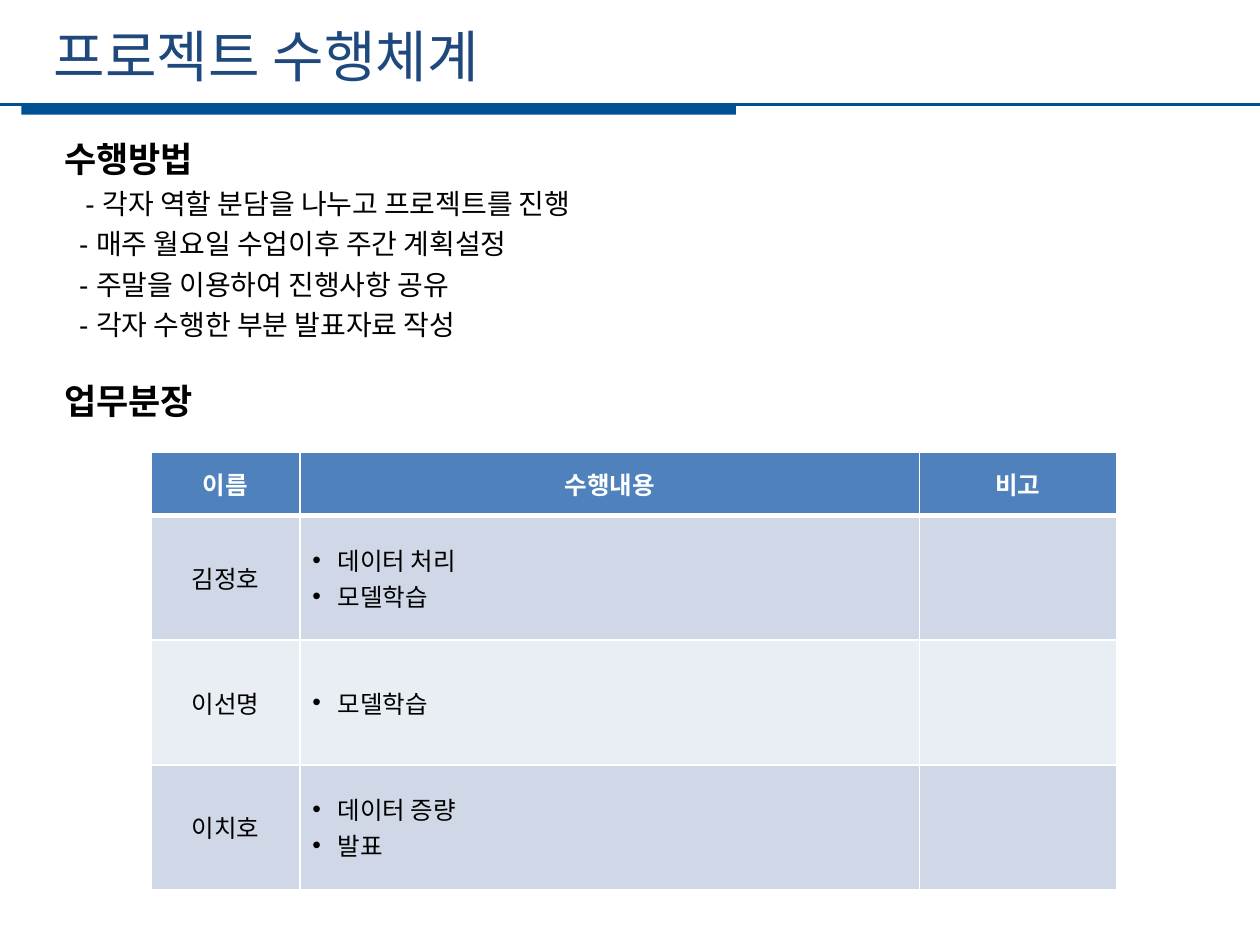
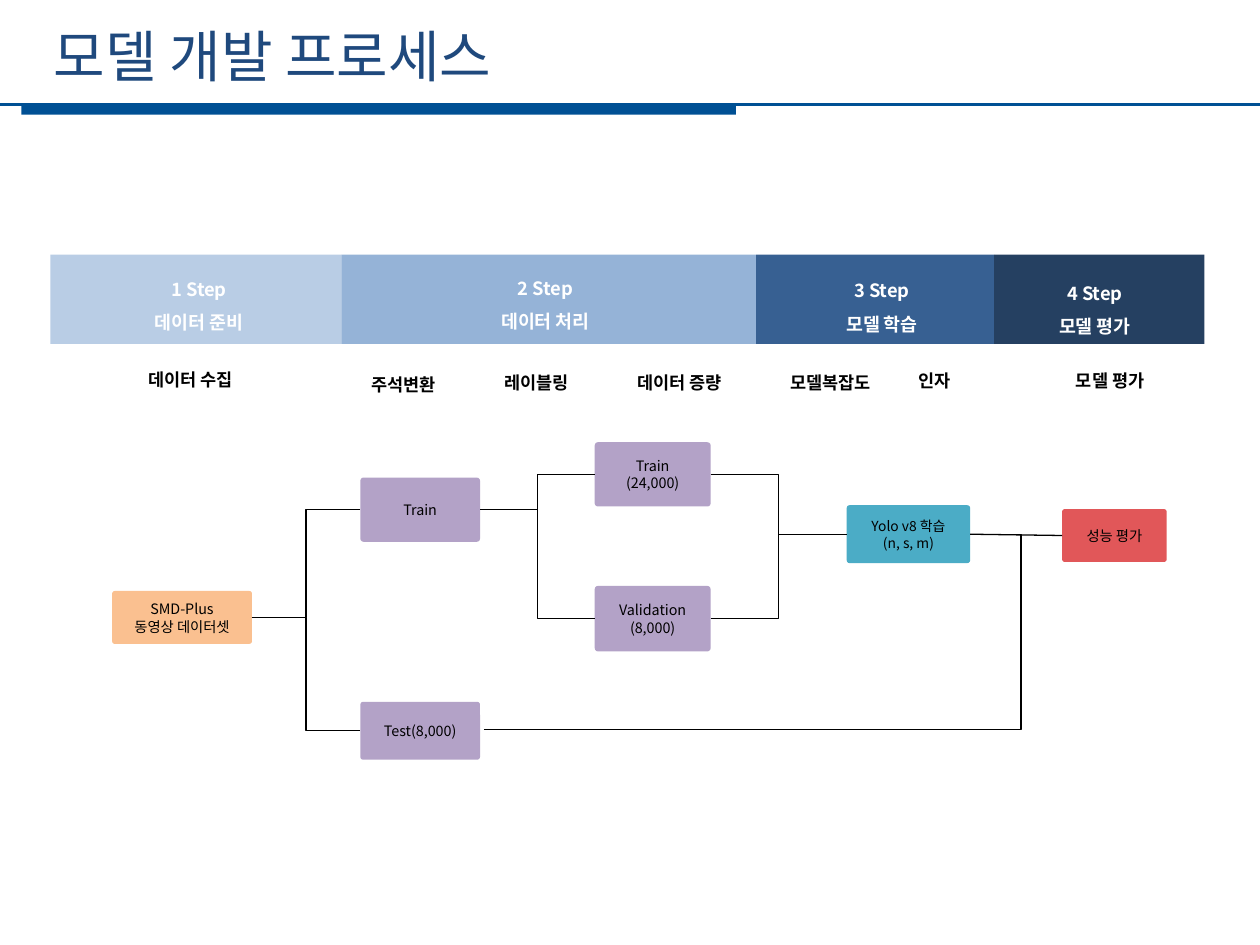
from lxml import etree
from pptx import Presentation, util as u
from pptx.dml.color import RGBColor
from pptx.enum import shapes, text
from pptx.oxml.ns import qn

COLORS = {
    "title": "1F497D", "band": "005094", "black": "000000", "white": "FFFFFF",
    "head": "4F81BD", "odd": "D0D8E8", "even": "E9EDF4",
    "step1": "B9CDE5", "step2": "95B3D7", "step3": "376092", "step4": "254061",
    "source": "FAC090", "data": "B3A2C7", "model": "4BACC6", "score": "E15759",
}
SANS, ARIAL = "Noto Sans CJK KR", "Arial"
COLS, ROWS = 100, 75  # grid of the slide
LEFT, CENTER = text.PP_ALIGN.LEFT, text.PP_ALIGN.CENTER
TOP, MIDDLE = text.MSO_ANCHOR.TOP, text.MSO_ANCHOR.MIDDLE


def rgb(name):
    return RGBColor.from_string(COLORS[name])


class Deck:
    """Holds the shared style and the current slide; lengths are grid columns and rows."""

    def __init__(self):
        self.prs = Presentation()
        self.prs.slide_width, self.prs.slide_height = u.Inches(10), u.Inches(7.5)
        self.s = None

    def x(self, cols):
        return round(self.prs.slide_width * cols / COLS)

    def y(self, rows):
        return round(self.prs.slide_height * rows / ROWS)

    def box(self, left, top, width, height):
        return self.x(left), self.y(top), self.x(width), self.y(height)

    def slide(self, title):
        self.s = self.prs.slides.add_slide(self.prs.slide_layouts[6])
        self.shape((1.7, 8.3, 56.7, 0.8), "band")
        self.line((0, 8.3), (COLS, 8.3), "band", 1.25)
        self.text((3.3, 1.2, 89.6, 6.4), [title], 32, "title", align=LEFT, anchor=MIDDLE)

    def run(self, p, words, size, color="black", bold=False, font=SANS):
        r = p.add_run()
        r.text = words
        r.font.size, r.font.bold, r.font.name = u.Pt(size), bold, font
        r.font.color.rgb = rgb(color)
        etree.SubElement(r.font._element, qn("a:ea"), typeface=SANS)

    def paragraph(self, tf, first, align=LEFT, spacing=None):
        p = tf.paragraphs[0] if first else tf.add_paragraph()
        p.alignment = align
        if spacing:
            p.line_spacing = u.Pt(spacing)
        return p

    def fill_text(self, tf, lines, size, color="black", bold=False, align=CENTER, spacing=None):
        for i, words in enumerate(lines):
            self.run(self.paragraph(tf, i == 0, align, spacing), words, size, color, bold)

    def frame(self, box, anchor=TOP, wrap=True):
        tf = self.s.shapes.add_textbox(*self.box(*box)).text_frame
        tf.word_wrap, tf.vertical_anchor = wrap, anchor
        return tf

    def text(self, box, lines, size, color="black", bold=False, align=CENTER,
             spacing=None, anchor=TOP, wrap=True):
        self.fill_text(self.frame(box, anchor, wrap), lines, size, color, bold, align, spacing)

    def shape(self, box, fill, kind=shapes.MSO_SHAPE.RECTANGLE):
        sp = self.s.shapes.add_shape(kind, *self.box(*box))
        sp.shadow.inherit = False
        sp.fill.solid()
        sp.fill.fore_color.rgb = rgb(fill)
        sp.line.fill.background()
        return sp

    def node(self, box, fill, lines, size=8.2):
        sp = self.shape(box, fill, shapes.MSO_SHAPE.ROUNDED_RECTANGLE)
        sp.adjustments[0] = 0.05
        tf = sp.text_frame
        tf.margin_left = tf.margin_right = tf.margin_top = tf.margin_bottom = 0
        tf.word_wrap, tf.vertical_anchor = True, MIDDLE
        self.fill_text(tf, lines, size, spacing=10)
        return sp

    def line(self, start, end, color="black", width=0.75, kind=shapes.MSO_CONNECTOR.STRAIGHT):
        c = self.s.shapes.add_connector(kind, self.x(start[0]), self.y(start[1]),
                                        self.x(end[0]), self.y(end[1]))
        c.line.color.rgb, c.line.width = rgb(color), u.Pt(width)
        etree.SubElement(c._element.spPr, qn("a:effectLst"))
        return c

    def elbow(self, start, end, bend):
        c = self.line(start, end, kind=shapes.MSO_CONNECTOR.ELBOW)
        guides = c._element.spPr.find(qn("a:prstGeom")).get_or_add_avLst()
        etree.SubElement(guides, qn("a:gd"), name="adj1", fmla=f"val {round(bend * 100000)}")

    def join(self, a, b, kind=shapes.MSO_CONNECTOR.ELBOW):
        """Connect the right side of a with the left side of b."""
        c = self.line((0, 0), (1, 1), kind=kind)
        c.begin_connect(a, 3)
        c.end_connect(b, 1)

    def table(self, box, widths, heights):
        t = self.s.shapes.add_table(len(heights), len(widths), *self.box(*box)).table
        for col, w in zip(t.columns, widths):
            col.width = self.x(w)
        for row, h in zip(t.rows, heights):
            row.height = self.y(h)
        return t

    def cell(self, c, lines, fill, color="black", bold=False, bullets=False, bottom=1):
        c.fill.solid()
        c.fill.fore_color.rgb = rgb(fill)
        c.vertical_anchor = MIDDLE
        for i, (side, width) in enumerate(zip("LRTB", (1, 1, 1, bottom))):
            ln = etree.Element(qn(f"a:ln{side}"), w=str(u.Pt(width)))
            solid = etree.SubElement(ln, qn("a:solidFill"))
            etree.SubElement(solid, qn("a:srgbClr"), val=COLORS["white"])
            c._tc.tcPr.insert(i, ln)
        for i, words in enumerate(lines):
            p = self.paragraph(c.text_frame, i == 0, LEFT if bullets else CENTER)
            if bullets:
                pPr = p._p.get_or_add_pPr()
                pPr.set("marL", str(self.x(2)))
                pPr.set("indent", str(-self.x(2)))
                etree.SubElement(pPr, qn("a:buFont"), typeface=ARIAL)
                etree.SubElement(pPr, qn("a:buChar"), char="•")
            self.run(p, words, 14, color, bold)


def organization(d):
    d.slide("프로젝트 수행체계")

    # Method list and heading of the table
    body = [  # words, indent in columns, is heading
        ("수행방법", 0, True),
        ("- 각자 역할 분담을 나누고 프로젝트를 진행", 1.7, False),
        ("- 매주 월요일 수업이후 주간 계획설정", 1.2, False),
        ("- 주말을 이용하여 진행사항 공유", 1.2, False),
        ("- 각자 수행한 부분 발표자료 작성", 1.2, False),
        ("업무분장", 0, True),
    ]
    tf = d.frame((4.1, 10.6, 91.2, 23.3))
    for i, (words, indent, heading) in enumerate(body):
        p = d.paragraph(tf, i == 0, spacing=23)
        p._p.get_or_add_pPr().set("marL", str(d.x(indent)))
        if heading and i:
            p.space_before = u.Pt(23)
        d.run(p, words, 20 if heading else 16, bold=heading, font=ARIAL)

    # Division of work
    members = [
        ("김정호", ["데이터 처리", "모델학습"]),
        ("이선명", ["모델학습"]),
        ("이치호", ["데이터 증량", "발표"]),
    ]
    t = d.table((12, 35.9, 76.6, 34.7), (11.8, 49.2, 15.6), (5, 9.9, 9.9, 9.9))
    for col, words in enumerate(("이름", "수행내용", "비고")):
        d.cell(t.cell(0, col), [words], "head", "white", True, bottom=3)
    for row, (name, tasks) in enumerate(members, 1):
        fill = "odd" if row % 2 else "even"
        d.cell(t.cell(row, 0), [name], fill)
        d.cell(t.cell(row, 1), tasks, fill, bullets=True)
        d.cell(t.cell(row, 2), [], fill)


def process(d):
    d.slide("모델 개발 프로세스")

    # Step bands
    edges = (4, 27.1, 60, 78.9, 95.6)
    steps = [  # name, text centre, text top
        ("데이터 준비", 15.8, 20.7), ("데이터 처리", 43.3, 20.6),
        ("모델 학습", 70, 20.8), ("모델 평가", 86.9, 21),
    ]
    for n, (name, center, top) in enumerate(steps, 1):
        left, right = edges[n - 1:n + 1]
        d.shape((left, 20.2, right - left, 7.1), f"step{n}")
        d.text((center - 6, top, 12, 6), [f"{n} Step", name], 10.5, "white", True, spacing=19)

    # Tasks under the bands
    tasks = [
        ("데이터 수집", 15.1, 28.8), ("주석변환", 32, 29.2), ("레이블링", 42.6, 29),
        ("데이터 증량", 53.9, 29), ("모델복잡도", 65.9, 29), ("인자", 74.2, 28.9),
        ("모델 평가", 88.1, 28.9),
    ]
    for name, center, top in tasks:
        d.text((center - 5, top, 10, 2.7), [name], 10, bold=True, wrap=False)

    # Data flow
    source = d.node((8.9, 46.9, 11.1, 4.2), "source", ["SMD-Plus", "동영상 데이터셋"])
    test = d.node((28.6, 55.7, 9.5, 4.6), "data", ["Test(8,000)"])
    train = d.node((28.6, 37.9, 9.5, 5.1), "data", ["Train"])
    augmented = d.node((47.2, 35.1, 9.2, 5.1), "data", ["Train", "(24,000)"])
    validation = d.node((47.2, 46.5, 9.2, 5.2), "data", ["Validation", "(8,000)"])
    model = d.node((67.2, 40.1, 9.8, 4.6), "model", ["Yolo v8 학습", "(n, s, m)"], 7.9)
    score = d.node((84.3, 40.4, 8.3, 4.2), "score", ["성능 평가"])
    for a, b in ((source, test), (source, train), (train, augmented), (train, validation),
                 (augmented, model), (validation, model)):
        d.join(a, b)
    d.join(model, score, shapes.MSO_CONNECTOR.STRAIGHT)
    d.elbow((38.4, 57.9), (80.6, 42.4), 1.01)


def main():
    d = Deck()
    organization(d)
    process(d)
    d.prs.save("out.pptx")


if __name__ == "__main__":
    main()
